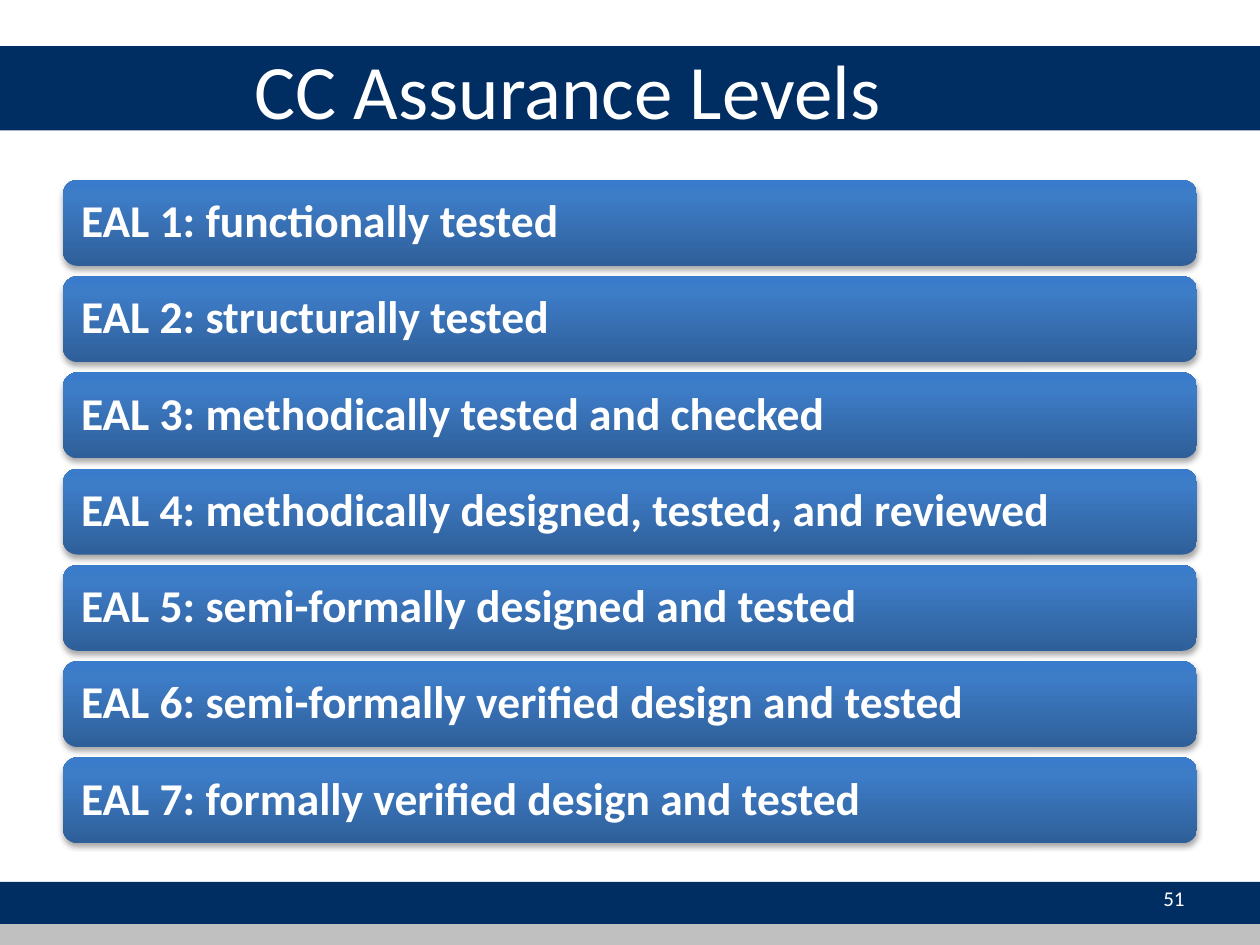
import copy
from typing import NamedTuple

import pptx
import pptx.dml.color
import pptx.enum.shapes
import pptx.enum.text
import pptx.oxml
import pptx.oxml.ns
import pptx.util

Cm = pptx.util.Cm
Pt = pptx.util.Pt
RGB = pptx.dml.color.RGBColor
Kind = pptx.enum.shapes.MSO_SHAPE
Align = pptx.enum.text.PP_ALIGN

NAVY = RGB(0x00, 0x2E, 0x62)
GRAY = RGB(0xC0, 0xC0, 0xC0)
WHITE = RGB(0xFF, 0xFF, 0xFF)
STOPS = (
    (0, RGB(0x2F, 0x5F, 0x99)),
    (0.8, RGB(0x3D, 0x7C, 0xC7)),
    (1, RGB(0x3A, 0x7C, 0xCB)),
)
FONT = "Calibri"
WIDTH, HEIGHT = 25.4, 19.05

# Level bars: first top, height and step in cm
LEFT, TOP, BAR, STEP = 1.27, 3.63, 1.73, 1.94

SHADOW = (
    f'<a:effectLst {pptx.oxml.ns.nsdecls("a")}>'
    '<a:outerShdw blurRad="40000" dist="23000" dir="5400000" rotWithShape="0">'
    '<a:srgbClr val="000000"><a:alpha val="35000"/></a:srgbClr>'
    "</a:outerShdw></a:effectLst>"
)


class Band(NamedTuple):
    top: float
    height: float
    color: RGB


BANDS = (
    Band(17.78, 0.85, NAVY),
    Band(0.93, 1.7, NAVY),
    Band(18.63, 0.42, GRAY),
)
LEVELS = (
    "functionally tested",
    "structurally tested",
    "methodically tested and checked",
    "methodically designed, tested, and reviewed",
    "semi-formally designed and tested",
    "semi-formally verified design and tested",
    "formally verified design and tested",
)


def write(shape, text: str, *, size: float, bold: bool = False,
          align=Align.LEFT, inset: tuple = (0.25, 0.13),
          spacing: float = 1.0) -> None:
    frame = shape.text_frame
    frame.word_wrap = True
    frame.auto_size = pptx.enum.text.MSO_AUTO_SIZE.NONE
    frame.vertical_anchor = pptx.enum.text.MSO_ANCHOR.MIDDLE
    frame.margin_left = frame.margin_right = Cm(inset[0])
    frame.margin_top = frame.margin_bottom = Cm(inset[1])
    para = frame.paragraphs[0]
    para.alignment = align
    para.line_spacing = spacing
    run = para.add_run()
    run.text = text
    run.font.name = FONT
    run.font.size = Pt(size)
    run.font.bold = bold
    run.font.color.rgb = WHITE


def draw_band(slide, band: Band) -> None:
    shape = slide.shapes.add_shape(
        Kind.RECTANGLE, 0, Cm(band.top), Cm(WIDTH), Cm(band.height))
    shape.shadow.inherit = False
    shape.fill.solid()
    shape.fill.fore_color.rgb = band.color
    shape.line.fill.background()


def shade(shape) -> None:
    shape.fill.gradient()
    shape.fill.gradient_angle = 90
    props = shape._element.spPr
    last = props.findall(".//" + pptx.oxml.ns.qn("a:gs"))[-1]
    last.addnext(copy.deepcopy(last))
    for stop, (place, color) in zip(shape.fill.gradient_stops, STOPS):
        stop.position = place
        stop.color.rgb = color
    shape.line.fill.background()
    props.append(pptx.oxml.parse_xml(SHADOW))


def draw_level(slide, row: int, text: str) -> None:
    shape = slide.shapes.add_shape(
        Kind.ROUNDED_RECTANGLE, Cm(LEFT), Cm(TOP + row * STEP),
        Cm(WIDTH - 2 * LEFT), Cm(BAR))
    shade(shape)
    write(shape, f"EAL {row + 1}: {text}", size=26, bold=True,
          inset=(0.28, 0.28), spacing=0.9)


def main() -> None:
    deck = pptx.Presentation()
    deck.slide_width, deck.slide_height = Cm(WIDTH), Cm(HEIGHT)
    slide = deck.slides.add_slide(deck.slide_layouts[5])

    # Background bands
    for band in BANDS:
        draw_band(slide, band)

    # Title, raised above the bands
    title = slide.shapes.title
    title.left, title.top = Cm(4.88), Cm(0.2)
    title.width, title.height = Cm(20.12), Cm(3.18)
    write(title, "CC Assurance Levels", size=44)
    slide.shapes._spTree.append(title._element)

    # Assurance levels
    for row, text in enumerate(LEVELS):
        draw_level(slide, row, text)

    # Page number
    page = slide.shapes.add_textbox(Cm(18.2), Cm(17.6), Cm(5.93), Cm(1.02))
    write(page, "51", size=12, align=Align.RIGHT)

    deck.save("out.pptx")


if __name__ == "__main__":
    main()
